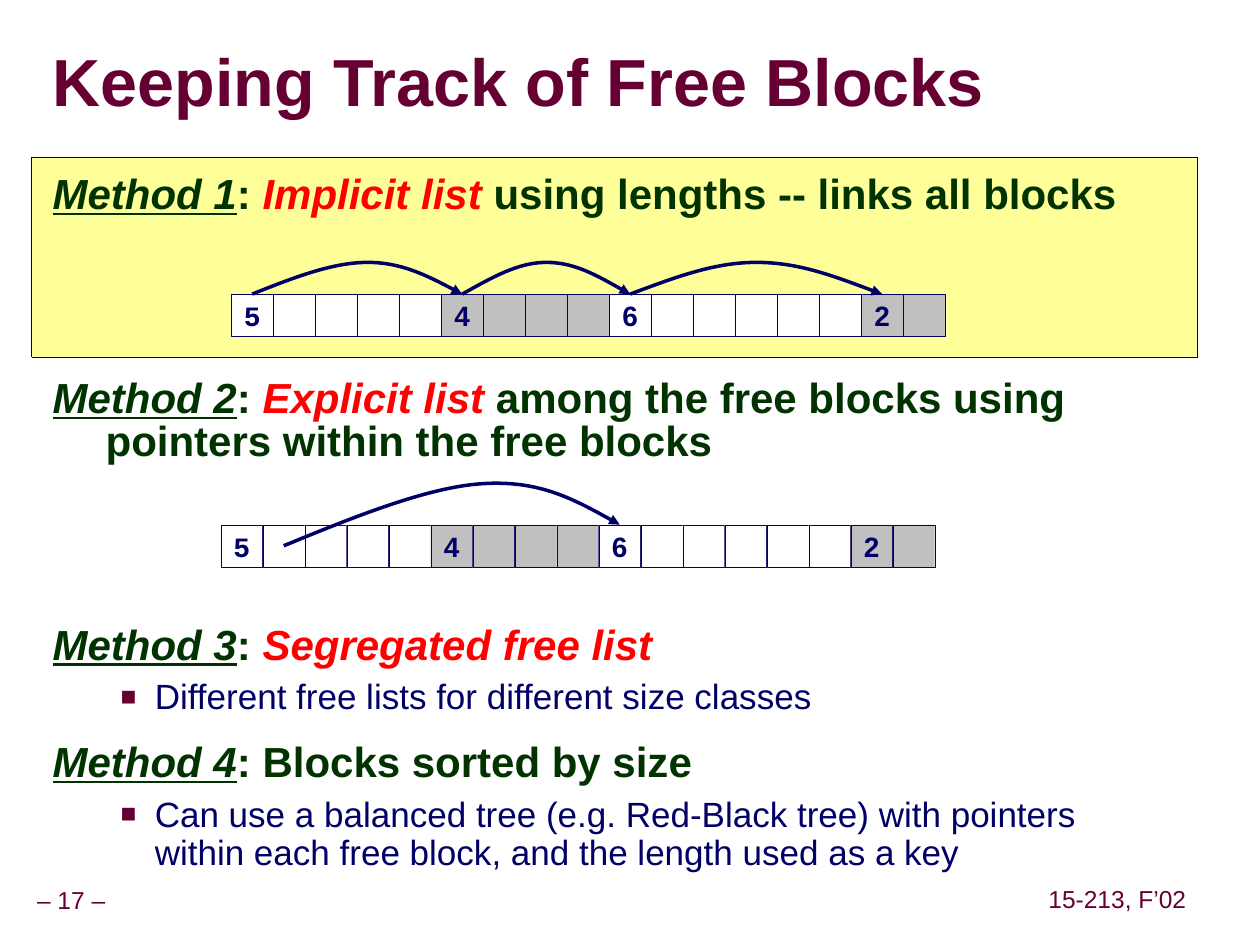
from lxml import etree
from pptx import Presentation
from pptx import util as u
from pptx.dml.color import RGBColor
from pptx.enum import dml, shapes, text
from pptx.oxml.ns import qn

COLOURS = {
    "wine": "660033", "navy": "000066", "green": "003300", "red": "FF0000",
    "yellow": "FFFF99", "white": "FFFFFF", "grey": "C0C0C0", "shadow": "969696",
}
TITLE = "Keeping Track of Free Blocks"
# heading, highlighted words, rest of the line, bullet, space before in points
METHODS = [
    ("Method 1", "Implicit list", " using lengths -- links all blocks", "", 0),
    ("Method 2", "Explicit list",
     " among the free blocks using pointers within the free blocks", "", 92),
    ("Method 3", "Segregated free list", "",
     "Different free lists for different size classes", 92),
    ("Method 4", "", "Blocks sorted by size",
     "Can use a balanced tree (e.g. Red-Black tree) with pointers within each "
     "free block, and the length used as a key", 15),
]
FOOTERS = [("– 17 –", -0.23, 17.78, 3.33), ("15-213, F’02", 21, 17.76, 3.05)]
BLOCKS = [(5, "white"), (4, "grey"), (6, "white"), (2, "grey")]
CELL = u.Cm(2.54) // 3

# Bezier points of a link: share of the way across, share of the way up
EVEN = [(0, 0), (0.17, 0.5), (0.33, 1), (0.5, 1), (0.67, 1), (0.83, 0.5), (1, 0)]
LATE = [(0, 0), (0.19, 0.5), (0.38, 1), (0.55, 1), (0.71, 1), (0.86, 0.5), (1, 0)]
LONG = [(0, 0), (0.21, 0.44), (0.43, 0.89), (0.59, 0.94),
        (0.76, 1), (0.88, 0.66), (1, 0.32)]
# left, top, links as (from cell, to cell, drop of the start in cells, rise, curve)
ROWS = [
    (u.Cm(4.66), u.Cm(5.93), [(0, 5, 0, u.Cm(0.64), LATE),
                              (5, 9, 0, u.Cm(0.64), EVEN),
                              (9, 15, 0, u.Cm(0.64), EVEN)]),
    (u.Cm(4.45), u.Cm(10.58), [(1, 9, 0.5, u.Cm(1.33), LONG)]),
]


def colour(name):
    return RGBColor.from_string(COLOURS[name])


def style(span, size, name, bold=False, italic=False, underline=False, face="Arial"):
    font = span.font
    font.name, font.size = face, u.Pt(size)
    font.bold, font.italic, font.underline = bold, italic, underline
    font.color.rgb = colour(name)


def set_frame(frame, side, edge, anchor, wrap=True):
    frame.margin_left = frame.margin_right = u.Cm(side)
    frame.margin_top = frame.margin_bottom = u.Cm(edge)
    frame.vertical_anchor = anchor
    frame.auto_size = text.MSO_AUTO_SIZE.NONE
    frame.word_wrap = wrap


def place(shape, left, top, width, height):
    shape.left, shape.top = u.Cm(left), u.Cm(top)
    shape.width, shape.height = u.Cm(width), u.Cm(height)


def set_indent(para, left, first, bullet=None):
    props = para._p.get_or_add_pPr()
    props.set("marL", str(u.Cm(left)))
    props.set("indent", str(u.Cm(first)))
    if bullet is None:
        etree.SubElement(props, qn("a:buNone"))
        return
    tint = etree.SubElement(props, qn("a:buClr"))
    etree.SubElement(tint, qn("a:srgbClr"), val=COLOURS["wine"])
    etree.SubElement(props, qn("a:buSzPct"), val="75000")
    etree.SubElement(props, qn("a:buFont"), typeface="Arial")
    etree.SubElement(props, qn("a:buChar"), char=bullet)


def add_title(page):
    title = page.shapes.title
    place(title, 1.06, 0.93, 20.32, 1.61)
    set_frame(title.text_frame, 0, 0, text.MSO_ANCHOR.MIDDLE)
    title.text_frame.text = TITLE
    para = title.text_frame.paragraphs[0]
    para.alignment, para.line_spacing = text.PP_ALIGN.LEFT, 0.87
    span = para.runs[0]
    style(span, 38, "wine", bold=True)
    effects = etree.Element(qn("a:effectLst"))
    shadow = etree.SubElement(effects, qn("a:outerShdw"), dist="38100", dir="2700000")
    etree.SubElement(shadow, qn("a:srgbClr"), val=COLOURS["shadow"])
    span._r.rPr.find(qn("a:solidFill")).addnext(effects)


def add_methods(page):
    body = page.placeholders[1]
    place(body, 0.81, 3.4, 23.09, 14.5)
    frame = body.text_frame
    set_frame(frame, 0.25, 0.13, text.MSO_ANCHOR.TOP)
    for number, (heading, key, rest, bullet, gap) in enumerate(METHODS):
        para = frame.add_paragraph() if number else frame.paragraphs[0]
        set_indent(para, 1.07, -1.07)
        para.line_spacing, para.space_before = 0.85, u.Pt(gap)
        for words, name, italic, underline in [
                (heading, "green", True, True), (": ", "green", False, False),
                (key, "red", True, False), (rest, "green", False, False)]:
            if words:
                span = para.add_run()
                span.text = words
                style(span, 24, name, True, italic, underline)
        if bullet:
            para = frame.add_paragraph()
            para.text, para.level = bullet, 1
            set_indent(para, 2.06, -0.69, "■")
            para.line_spacing, para.space_before = 0.9, u.Pt(6.2)
            style(para.runs[0], 20, "navy")


def add_rectangle(page, left, top, width, height, fill):
    box = page.shapes.add_shape(shapes.MSO_SHAPE.RECTANGLE, left, top, width, height)
    box.shadow.inherit = False
    box.fill.solid()
    box.fill.fore_color.rgb = colour(fill)
    box.line.color.rgb = colour("navy")
    box.line.width = u.Pt(0.25)
    return box


def add_row(page, left, top):
    for length, fill in BLOCKS:
        for offset in range(length):
            box = add_rectangle(page, left, top, CELL, CELL, fill)
            left += CELL
            if offset == 0:
                frame = box.text_frame
                set_frame(frame, 0.25, 0.13, text.MSO_ANCHOR.MIDDLE, wrap=False)
                frame.text = str(length)
                frame.paragraphs[0].alignment = text.PP_ALIGN.CENTER
                face = "Courier New" if length == 5 else "Arial"
                style(frame.paragraphs[0].runs[0], 16, "navy", bold=True, face=face)


def add_link(page, start, end, bottom, rise, curve):
    """Draw an arrow of two Bezier arcs through the seven points of curve."""
    points = [(int(start + (end - start) * across), int(bottom - rise * up))
              for across, up in curve]
    builder = page.shapes.build_freeform(*points[0])
    builder.add_line_segments(points[1:], close=False)
    link = builder.convert_to_shape()
    outline = link._element.spPr.find(".//" + qn("a:path"))
    lines = outline.findall(qn("a:lnTo"))
    for first in (0, 3):
        arc = etree.SubElement(outline, qn("a:cubicBezTo"))
        for line in lines[first:first + 3]:
            arc.append(line[0])
            outline.remove(line)
    link.shadow.inherit = False
    link.fill.background()
    link.line.color.rgb = colour("navy")
    link.line.width = u.Pt(2)
    etree.SubElement(link.line._get_or_add_ln(), qn("a:tailEnd"), type="triangle")


def add_footer(page, words, left, top, width):
    box = page.shapes.add_textbox(u.Cm(left), u.Cm(top), u.Cm(width), u.Cm(0.79))
    set_frame(box.text_frame, 0.13, 0.13, text.MSO_ANCHOR.MIDDLE, wrap=False)
    box.text_frame.text = words
    para = box.text_frame.paragraphs[0]
    para.alignment, para.line_spacing = text.PP_ALIGN.CENTER, 0.9
    style(para.runs[0], 14, "wine")


def main():
    deck = Presentation()
    deck.slide_width, deck.slide_height = u.Cm(25.4), u.Cm(19.05)
    page = deck.slides.add_slide(deck.slide_layouts[1])
    panel = add_rectangle(page, u.Cm(0.64), u.Cm(3.18), u.Cm(23.5), u.Cm(4.02), "yellow")
    panel.line.dash_style = dml.MSO_LINE.ROUND_DOT
    page.shapes.title._element.addprevious(panel._element)
    add_title(page)
    add_methods(page)
    for left, top, links in ROWS:
        add_row(page, left, top)
        for source, target, drop, rise, curve in links:
            start, end = (left + CELL * (cell + 0.5) for cell in (source, target))
            add_link(page, start, end, top + CELL * drop, rise, curve)
    for footer in FOOTERS:
        add_footer(page, *footer)
    deck.save("out.pptx")


if __name__ == "__main__":
    main()
